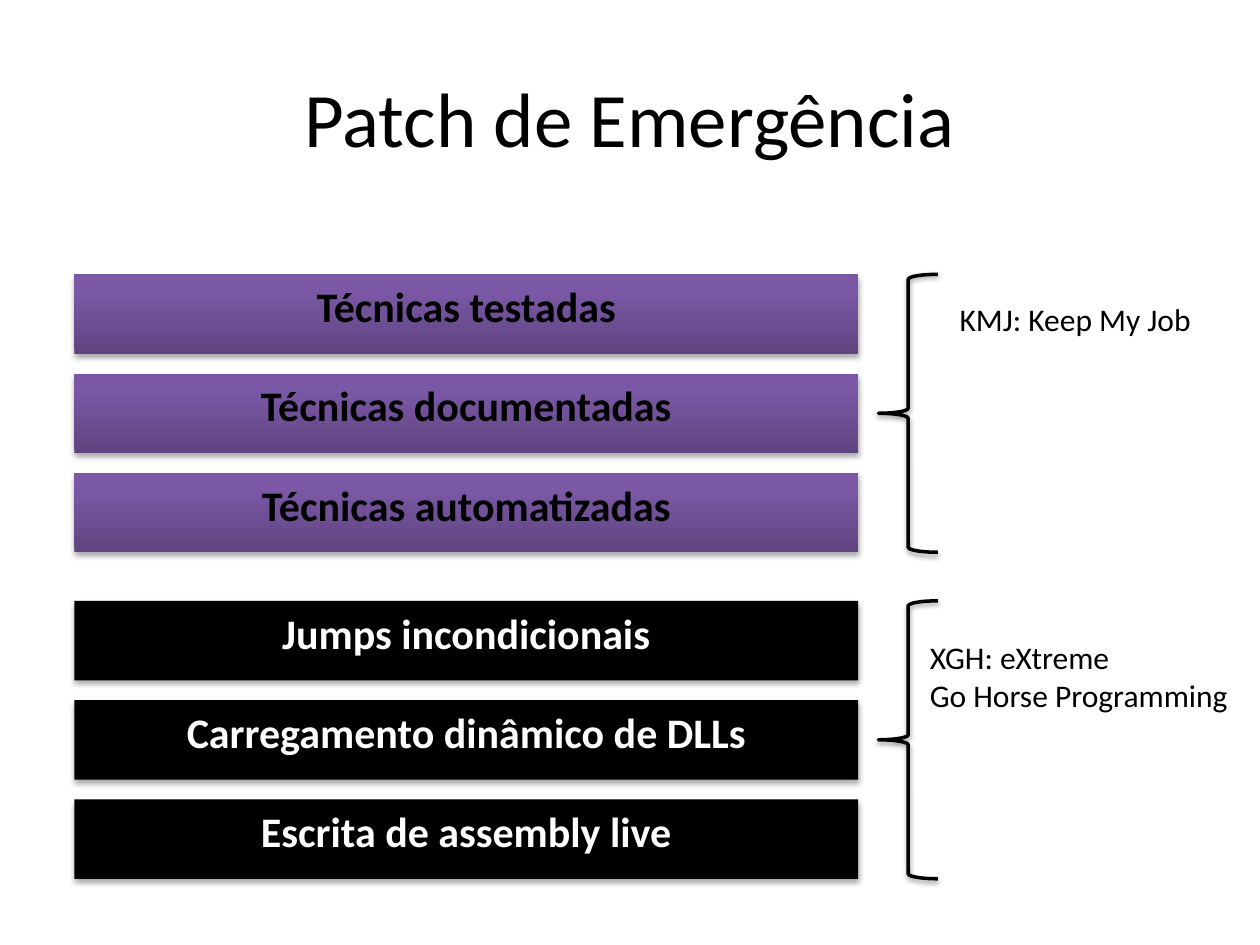
from copy import deepcopy
from dataclasses import dataclass

from lxml.etree import SubElement
from pptx import Presentation
from pptx.dml.color import RGBColor
from pptx.enum.shapes import MSO_SHAPE
from pptx.enum.text import MSO_ANCHOR, MSO_AUTO_SIZE, PP_ALIGN
from pptx.oxml.ns import qn
from pptx.util import Pt

FONT = "Calibri"
BLACK, WHITE = "000000", "FFFFFF"
PURPLE_STOPS = ((0, "5F4480"), (0.8, "7B58A6"), (1, "7C57A8"))
BAR_LEFT, BAR_WIDTH, BAR_HEIGHT, BAR_PITCH = 42.5, 448, 45.4, 56.7
BRACE_LEFT, BRACE_WIDTH = 502, 34


@dataclass
class Label:
    lines: tuple[str, ...]
    left: float
    top: float
    width: float
    height: float


@dataclass
class Group:
    top: float
    techniques: tuple[str, ...]
    stops: tuple[tuple[float, str], ...]
    text_color: str
    label: Label


GROUPS = (
    Group(156.8,
          ("Técnicas testadas", "Técnicas documentadas", "Técnicas automatizadas"),
          PURPLE_STOPS, BLACK,
          Label(("KMJ: Keep My Job",), 541.3, 168, 148.3, 29)),
    Group(343.4,
          ("Jumps incondicionais", "Carregamento dinâmico de DLLs",
           "Escrita de assembly live"),
          ((0, BLACK),), WHITE,
          Label(("XGH: eXtreme", "Go Horse Programming"), 524.2, 361, 186.5, 51)),
)


def color(value: str) -> RGBColor:
    return RGBColor.from_string(value)


def write(frame, lines: tuple[str, ...], size: float, text_color: str,
          align=PP_ALIGN.LEFT, bold: bool = False) -> None:
    frame.text = "\n".join(lines)
    for paragraph in frame.paragraphs:
        paragraph.alignment = align
        paragraph.font.name = FONT
        paragraph.font.size = Pt(size)
        paragraph.font.bold = bold
        paragraph.font.color.rgb = color(text_color)


def add_shadow(shape, distance: float, opacity: int) -> None:
    shape.shadow.inherit = False
    effects = shape._element.spPr.find(qn("a:effectLst"))
    shadow = SubElement(effects, qn("a:outerShdw"), blurRad=str(Pt(3.1)),
                        dist=str(Pt(distance)), dir="5400000", rotWithShape="0")
    tint = SubElement(shadow, qn("a:srgbClr"), val=BLACK)
    SubElement(tint, qn("a:alpha"), val=str(opacity * 1000))


def paint(shape, stops: tuple[tuple[float, str], ...]) -> None:
    if len(stops) == 1:
        shape.fill.solid()
        shape.fill.fore_color.rgb = color(stops[0][1])
        return
    shape.fill.gradient()
    shape.fill.gradient_angle = 90
    stop_list = next(shape._element.spPr.iter(qn("a:gsLst")))
    while len(stop_list) < len(stops):
        stop_list.append(deepcopy(stop_list[0]))
    for stop, (position, value) in zip(shape.fill.gradient_stops, stops):
        stop.position = position
        stop.color.rgb = color(value)


def add_bar(slide, technique: str, top: float, group: Group) -> None:
    bar = slide.shapes.add_shape(MSO_SHAPE.RECTANGLE, Pt(BAR_LEFT), Pt(top),
                                 Pt(BAR_WIDTH), Pt(BAR_HEIGHT))
    paint(bar, group.stops)
    bar.line.fill.background()
    add_shadow(bar, 1.8, 35)
    bar.text_frame.vertical_anchor = MSO_ANCHOR.TOP
    write(bar.text_frame, (technique,), 24, group.text_color, PP_ALIGN.CENTER, True)


def add_brace(slide, top: float, height: float) -> None:
    brace = slide.shapes.add_shape(MSO_SHAPE.LEFT_BRACE, Pt(BRACE_LEFT), Pt(top),
                                   Pt(BRACE_WIDTH), Pt(height))
    brace.fill.background()
    brace.line.color.rgb = color(BLACK)
    brace.line.width = Pt(2)
    add_shadow(brace, 1.6, 38)


def add_label(slide, label: Label) -> None:
    frame = slide.shapes.add_textbox(Pt(label.left), Pt(label.top), Pt(label.width),
                                     Pt(label.height)).text_frame
    frame.word_wrap = False
    frame.auto_size = MSO_AUTO_SIZE.SHAPE_TO_FIT_TEXT
    write(frame, label.lines, 18, BLACK)


def add_title(slide, title: str) -> None:
    frame = slide.shapes.add_textbox(Pt(36), Pt(21.6), Pt(648), Pt(90)).text_frame
    frame.word_wrap = True
    frame.vertical_anchor = MSO_ANCHOR.MIDDLE
    write(frame, (title,), 44, BLACK, PP_ALIGN.CENTER)


def add_group(slide, group: Group) -> None:
    for row, technique in enumerate(group.techniques):
        add_bar(slide, technique, group.top + row * BAR_PITCH, group)
    add_brace(slide, group.top, (len(group.techniques) - 1) * BAR_PITCH + BAR_HEIGHT)
    add_label(slide, group.label)


def main() -> None:
    presentation = Presentation()
    presentation.slide_width, presentation.slide_height = Pt(720), Pt(540)
    slide = presentation.slides.add_slide(presentation.slide_layouts[6])
    add_title(slide, "Patch de Emergência")
    for group in GROUPS:
        add_group(slide, group)
    presentation.save("out.pptx")


if __name__ == "__main__":
    main()
